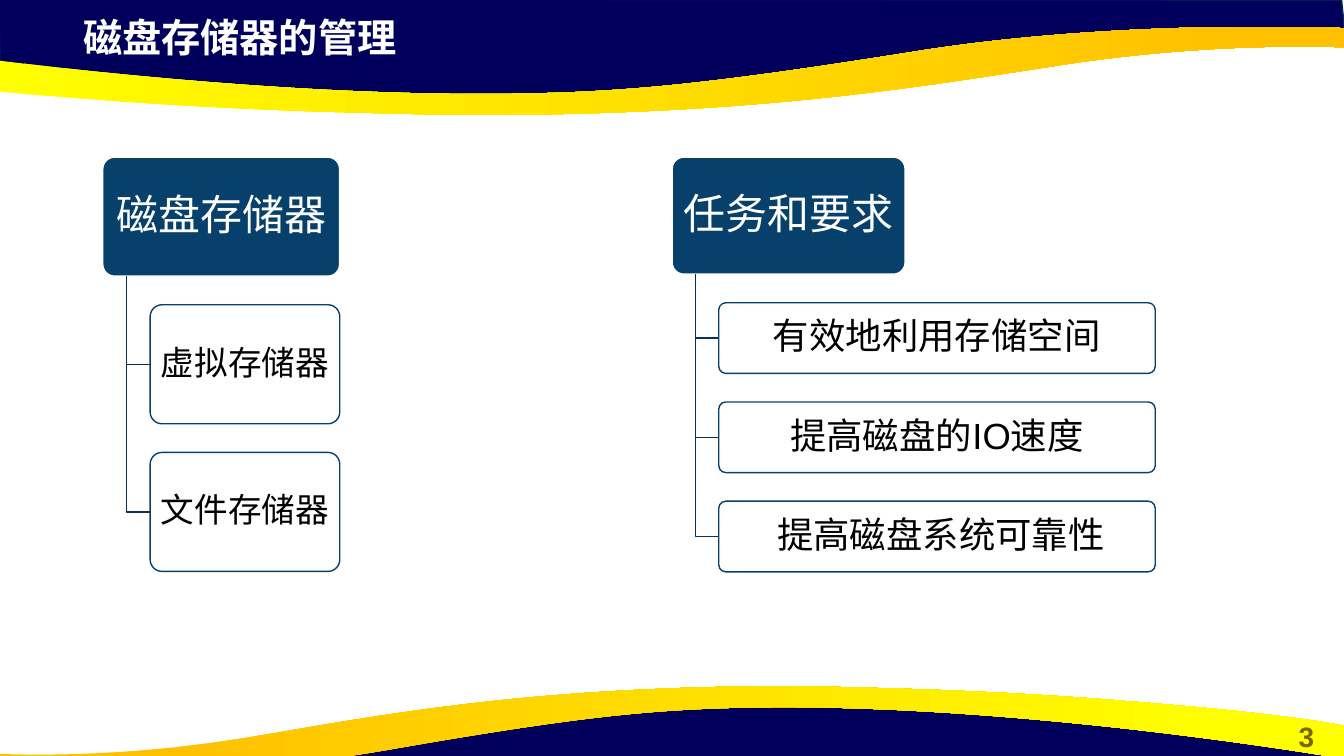
from dataclasses import dataclass

from lxml import etree
from pptx import Presentation
from pptx.dml.color import RGBColor
from pptx.enum.shapes import MSO_SHAPE
from pptx.enum.text import MSO_ANCHOR, PP_ALIGN
from pptx.oxml.ns import qn
from pptx.util import Cm, Pt

LEFT, CENTER = PP_ALIGN.LEFT, PP_ALIGN.CENTER
TOP, MIDDLE = MSO_ANCHOR.TOP, MSO_ANCHOR.MIDDLE
ROUNDED = MSO_SHAPE.ROUNDED_RECTANGLE


@dataclass(frozen=True)
class Theme:
    font: str = "Arial"
    white: str = "FFFFFF"
    black: str = "000000"
    navy: str = "00005C"
    navy_edge: str = "05304F"
    box: str = "07416B"
    branch: str = "063456"
    amber: str = "FFC000"
    yellow: str = "FFFF00"
    number: str = "806000"
    title_size: int = 28
    number_size: int = 20
    root_size: int = 30
    line_width: int = 1


# Points in cm; a ribbon segment is one line end or three Bezier points.
NAVY_BAND = [(-0.03, -0.03), (0, 1.78), (7.44, 2.59), (14.2, 2.54), (20.19, 2.24),
             (25.81, 1.27), (31.45, 0.84), (33.91, 0.97), (33.81, 0)]
RIBBON = [
    [(12.27, 2.9)],
    [(11.25, 2.9), (10.19, 2.87), (9.04, 2.84)],
    [(5.23, 2.74), (2.79, 2.54), (0.91, 2.39)],
    [(-2.24, 2.13), (-3.3, 1.91), (-3.38, 1.91)],
    [(-3.38, 1.07)],
    [(-3.38, 1.07), (5.54, 2.49), (13.13, 2.36)],
    [(15.9, 2.31), (17.98, 2.11), (23.24, 1.27)],
    [(28.47, 0.46), (33.86, 0.71), (33.86, 0.71)],
    [(33.86, 1.19)],
    [(33.78, 1.19)],
    [(33.15, 1.17), (30.35, 1.09), (26.8, 1.63)],
    [(23.32, 2.16), (19.35, 2.87), (12.27, 2.9)],
]
ROOT_TOP = 3.96
CHILD_GAP = 0.72


def write(frame, text, *, size, color, font, bold=False, align=LEFT, anchor=TOP,
          inset=None, spacing=None):
    frame.word_wrap = True
    frame.vertical_anchor = anchor
    if inset is not None:
        frame.margin_left = frame.margin_right = Cm(inset)
        frame.margin_top = frame.margin_bottom = Cm(inset)
    paragraph = frame.paragraphs[0]
    paragraph.alignment = align
    paragraph.line_spacing = spacing
    run = paragraph.add_run()
    run.text = text
    run.font.name = font
    run.font.size = Pt(size)
    run.font.bold = bold
    run.font.color.rgb = RGBColor.from_string(color)


def bend(shape, segments):
    """Replace the straight sides of a freeform by its Bezier segments."""
    sides = list(shape._element.iter(qn("a:lnTo")))
    for side, segment in zip(sides, segments):
        if len(segment) == 1:
            continue
        curve = etree.Element(qn("a:cubicBezTo"))
        for x, y in segment:
            etree.SubElement(curve, qn("a:pt"), x=str(Cm(x) - shape.left),
                             y=str(Cm(y) - shape.top))
        side.getparent().replace(side, curve)


class SlideBuilder:
    def __init__(self, slide, theme):
        self.slide = slide
        self.theme = theme

    def outline(self, line, color):
        line.color.rgb = RGBColor.from_string(color)
        line.width = Pt(self.theme.line_width)

    def freeform(self, points, close=True):
        (start_x, start_y), *rest = [(Cm(x), Cm(y)) for x, y in points]
        builder = self.slide.shapes.build_freeform(start_x, start_y)
        builder.add_line_segments(rest, close=close)
        shape = builder.convert_to_shape()
        shape.shadow.inherit = False
        return shape

    def band(self, points):
        band = self.freeform(points)
        band.fill.solid()
        band.fill.fore_color.rgb = RGBColor.from_string(self.theme.navy)
        self.outline(band.line, self.theme.navy_edge)

    def ribbon(self, segments, stops):
        """Draw a ribbon shaded from left to right by (position, color) stops."""
        ribbon = self.freeform([segment[-1] for segment in segments])
        bend(ribbon, segments[1:])
        ribbon.fill.gradient()
        ribbon.fill.gradient_angle = 0
        for stop, (position, color) in zip(ribbon.fill.gradient_stops, stops):
            stop.position = position
            stop.color.rgb = RGBColor.from_string(color)
        ribbon.line.fill.background()

    def label(self, text, left, top, width, height, **fmt):
        label = self.slide.shapes.add_textbox(Cm(left), Cm(top), Cm(width), Cm(height))
        write(label.text_frame, text, font=self.theme.font, **fmt)

    def box(self, text, left, top, width, height, fill, edge, color, size):
        box = self.slide.shapes.add_shape(ROUNDED, Cm(left), Cm(top), Cm(width), Cm(height))
        box.adjustments[0] = 0.1
        box.shadow.inherit = False
        box.fill.solid()
        box.fill.fore_color.rgb = RGBColor.from_string(fill)
        self.outline(box.line, edge)
        write(box.text_frame, text, size=size, color=color, font=self.theme.font,
              align=CENTER, anchor=MIDDLE, inset=0.1, spacing=0.9)

    def branch(self, points):
        branch = self.freeform(points, close=False)
        branch.fill.background()
        self.outline(branch.line, self.theme.branch)

    def tree(self, heading, items, left, root_size, item_size, font_size):
        """Draw a heading box with its items hanging from bent branches."""
        theme = self.theme
        root_width, root_height = root_size
        item_width, item_height = item_size
        root_bottom = ROOT_TOP + root_height
        trunk_x = left + root_width / 10
        item_left = left + root_width / 5
        self.box(heading, left, ROOT_TOP, root_width, root_height,
                 theme.box, theme.white, theme.white, theme.root_size)
        for index, item in enumerate(items):
            top = root_bottom + CHILD_GAP + index * (item_height + CHILD_GAP)
            middle = top + item_height / 2
            self.branch([(trunk_x, root_bottom), (trunk_x, middle), (item_left, middle)])
            self.box(item, item_left, top, item_width, item_height,
                     theme.white, theme.box, theme.black, font_size)


def main():
    deck = Presentation()
    deck.slide_width, deck.slide_height = Cm(33.87), Cm(19.05)
    theme = Theme()
    page = SlideBuilder(deck.slides.add_slide(deck.slide_layouts[6]), theme)

    page.band(NAVY_BAND)
    page.ribbon(RIBBON, [(0.08, theme.yellow), (0.95, theme.amber)])
    page.band([(33.83 - x, 20.14 - y) for x, y in NAVY_BAND])
    turned_ribbon = [[(33.86 - (x + 3.38) * 0.91, 20.19 - y) for x, y in segment]
                     for segment in RIBBON]
    page.ribbon(turned_ribbon, [(0.11, theme.amber), (0.92, theme.yellow)])

    page.label("3", 32, 18.01, 1.85, 1.12, size=theme.number_size,
               color=theme.number, bold=True, align=CENTER)
    page.label("磁盘存储器的管理", 1.85, 0.21, 19.5, 1.45, size=theme.title_size,
               color=theme.white, bold=True)
    page.tree("磁盘存储器", ["虚拟存储器", "文件存储器"],
              left=2.59, root_size=(5.97, 3), item_size=(4.78, 3), font_size=24)
    page.tree("任务和要求", ["有效地利用存储空间", "提高磁盘的IO速度", " 提高磁盘系统可靠性"],
              left=16.94, root_size=(5.87, 2.95), item_size=(11, 1.78), font_size=26)
    deck.save("out.pptx")


if __name__ == "__main__":
    main()
